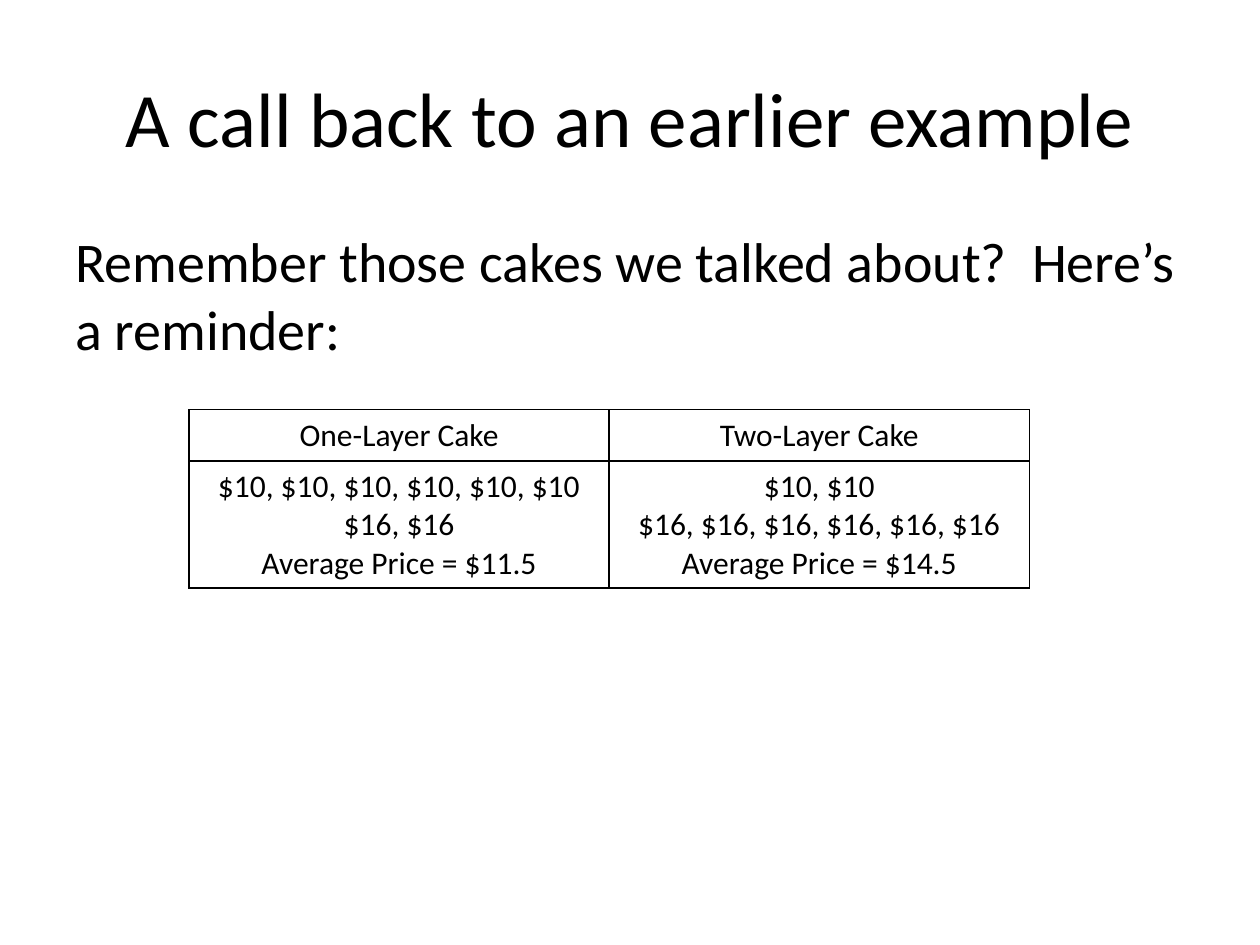
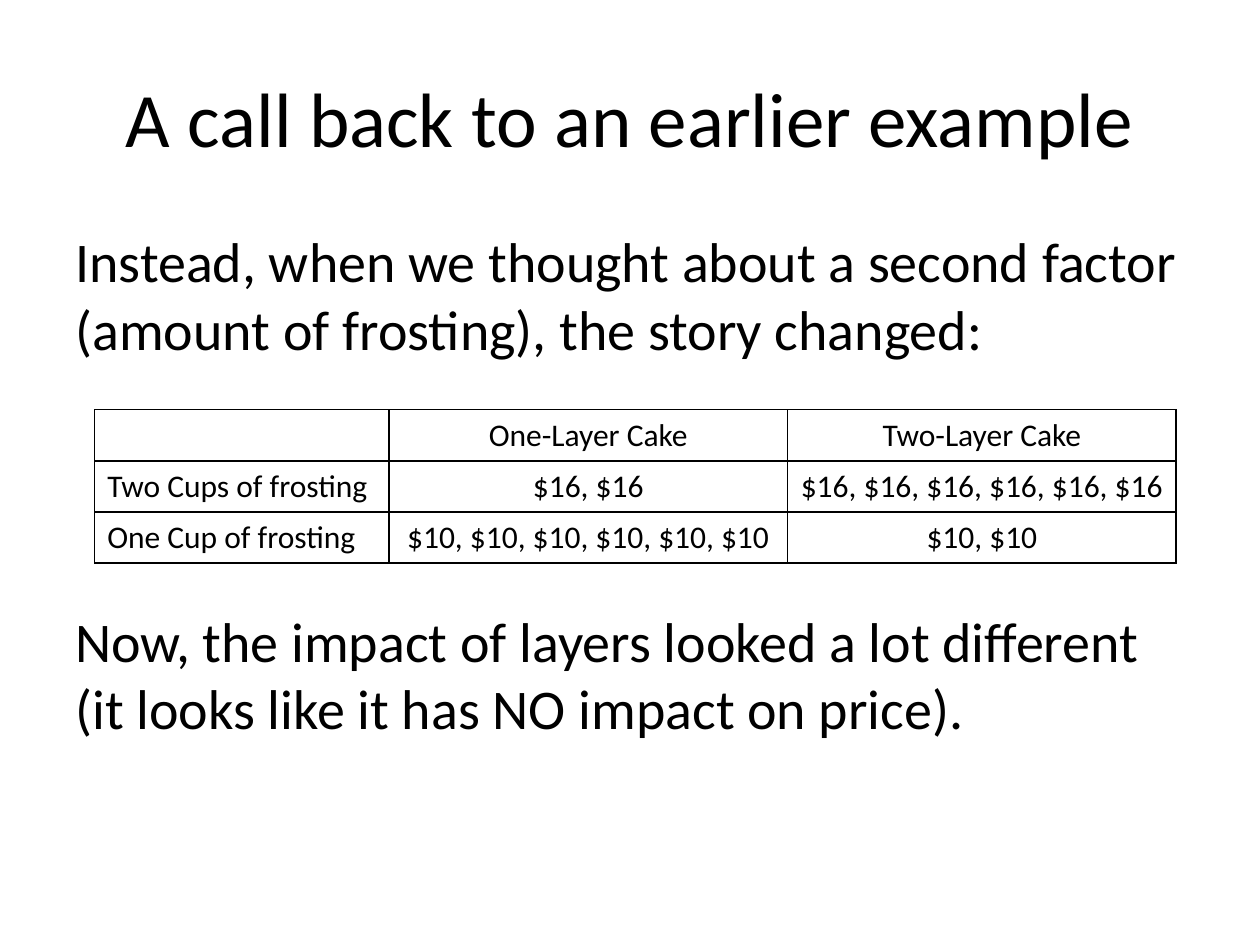
from lxml import etree
from pptx import Presentation
from pptx.dml.color import RGBColor
from pptx.enum.text import MSO_ANCHOR, PP_ALIGN
from pptx.oxml.ns import qn
from pptx.util import Cm, Pt

LEFT, CENTER = PP_ALIGN.LEFT, PP_ALIGN.CENTER
TOP, MIDDLE = MSO_ANCHOR.TOP, MSO_ANCHOR.MIDDLE

COLORS = {"text": "000000", "border": "000000"}
FONT = "Calibri"
TITLE = "A call back to an earlier example"
TABLE_TOP = 8.26
ROW_HEIGHT = 1.03
TABLE_GAP = 140  # points left free for the table between body paragraphs


def write_text(frame, lines, size=18, align=LEFT, gap=0):
    """Write one paragraph per line; gap is the space before later ones."""
    for index, line in enumerate(lines):
        para = frame.paragraphs[0] if index == 0 else frame.add_paragraph()
        para.alignment = align
        para.space_before = Pt(gap if index else 0)
        span = para.add_run()
        span.text = line
        span.font.name = FONT
        span.font.size = Pt(size)
        span.font.bold = False
        span.font.color.rgb = RGBColor.from_string(COLORS["text"])


def add_text(page, lines, top, height, anchor=TOP, **text_format):
    box = page.shapes.add_textbox(Cm(1.27), Cm(top), Cm(22.86), Cm(height))
    frame = box.text_frame
    frame.word_wrap = True
    frame.vertical_anchor = anchor
    write_text(frame, lines, **text_format)


def add_borders(cell):
    properties = cell._tc.get_or_add_tcPr()
    for side in ("lnL", "lnR", "lnT", "lnB"):
        line = etree.SubElement(properties, qn(f"a:{side}"), w=str(Pt(1)))
        fill = etree.SubElement(line, qn("a:solidFill"))
        etree.SubElement(fill, qn("a:srgbClr"), val=COLORS["border"])


def add_price_table(page, left, widths, heights, rows, label_columns=0):
    """Draw a ruled table; label columns align left, the others centre."""
    table = page.shapes.add_table(
        len(rows), len(widths), Cm(left), Cm(TABLE_TOP),
        Cm(sum(widths)), Cm(sum(heights))).table
    table.first_row = table.horz_banding = False
    for column, width in zip(table.columns, widths):
        column.width = Cm(width)
    for row, height, texts in zip(table.rows, heights, rows):
        row.height = Cm(height)
        for number, (cell, text) in enumerate(zip(row.cells, texts)):
            add_borders(cell)
            cell.fill.background()
            align = LEFT if number < label_columns else CENTER
            write_text(cell.text_frame, text.split("\n"), align=align)


def add_page(deck, body):
    page = deck.slides.add_slide(deck.slide_layouts[6])
    add_text(page, [TITLE], 0.76, 3.18, anchor=MIDDLE, size=44, align=CENTER)
    add_text(page, body, 4.45, 12.57, size=32, gap=TABLE_GAP)
    return page


def main():
    deck = Presentation()
    deck.slide_width, deck.slide_height = Cm(25.4), Cm(19.05)

    # Prices by number of layers
    page = add_page(deck, [
        "Remember those cakes we talked about?  Here’s a reminder:"])
    add_price_table(page, 3.81, [8.47] * 2, [ROW_HEIGHT, 2.56], [
        ["One-Layer Cake", "Two-Layer Cake"],
        ["$10, $10, $10, $10, $10, $10\n$16, $16\nAverage Price = $11.5",
         "$10, $10\n$16, $16, $16, $16, $16, $16\nAverage Price = $14.5"],
    ])

    # Prices by layers and frosting
    page = add_page(deck, [
        "Instead, when we thought about a second factor "
        "(amount of frosting), the story changed:",
        "Now, the impact of layers looked a lot different "
        "(it looks like it has NO impact on price)."])
    add_price_table(page, 1.91, [5.93, 8.04, 7.83], [ROW_HEIGHT] * 3, [
        ["", "One-Layer Cake", "Two-Layer Cake"],
        ["Two Cups of frosting", "$16, $16", "$16, $16, $16, $16, $16, $16"],
        ["One Cup of frosting", "$10, $10, $10, $10, $10, $10", "$10, $10"],
    ], label_columns=1)

    deck.save("out.pptx")


if __name__ == "__main__":
    main()
